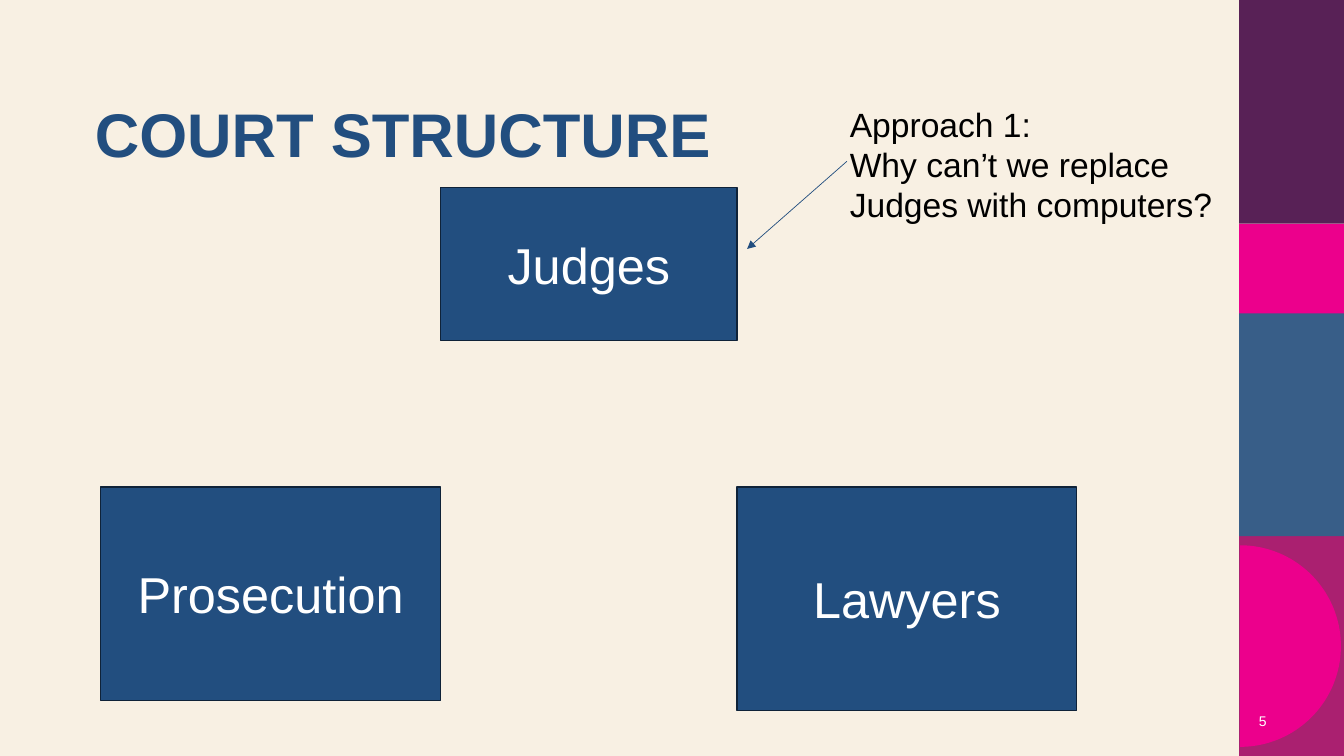
from math import cos, pi, sin

from lxml.etree import SubElement
from pptx import Presentation
from pptx.dml.color import RGBColor
from pptx.enum.shapes import MSO_CONNECTOR, MSO_SHAPE
from pptx.enum.text import MSO_ANCHOR as Anchor, PP_ALIGN as Align
from pptx.oxml.ns import qn
from pptx.util import Inches, Pt

# Content
TITLE = "COURT STRUCTURE"
PAGE_NUMBER = "5"
NOTE_LINES = ["Approach 1:", "Why can’t we replace", "Judges with computers?"]
COURT_ROLES = [  # name, left, top, width, height
    ("Prosecution", 1, 4.83, 3.37, 2.12),
    ("Lawyers", 7.31, 4.83, 3.37, 2.22),
    ("Judges", 4.37, 1.86, 2.94, 1.52),
]
SIDE_BANDS = [  # colour, top, height
    ("AA2070", 5.28, 2.22),
    ("385E88", 3.1, 2.22),
    ("582156", 0, 2.22),
    ("EC008C", 2.22, 0.89),
]

# Style
FONT = "Arial"
CREAM, NAVY, NAVY_EDGE = "F8F0E3", "224E7F", "0F2238"
PINK, WHITE, BLACK = "EC008C", "FFFFFF", "000000"
PAGE_WIDTH, PAGE_HEIGHT = 13.33, 7.5
BAND_LEFT = 12.29
DISC_LEFT, DISC_MIDDLE, DISC_RADIUS = 12.3, 6.41, 1
ARC_STEPS = 90


def colour(value):
    return RGBColor.from_string(value)


def paint(shape, fill, edge=None):
    shape.shadow.inherit = False
    shape.fill.solid()
    shape.fill.fore_color.rgb = colour(fill)
    if edge:
        shape.line.color.rgb = colour(edge)
        shape.line.width = Pt(1)
    else:
        shape.line.fill.background()


def write(frame, lines, size, ink, align=Align.LEFT, anchor=Anchor.TOP, bold=False):
    frame.word_wrap = True
    frame.vertical_anchor = anchor
    for index, line in enumerate(lines):
        para = frame.add_paragraph() if index else frame.paragraphs[0]
        para.alignment = align
        span = para.add_run()
        span.text = line
        span.font.name = FONT
        span.font.size = Pt(size)
        span.font.bold = bold
        span.font.color.rgb = colour(ink)


def add_box(page, left, top, width, height, fill, edge=None):
    box = page.shapes.add_shape(
        MSO_SHAPE.RECTANGLE, Inches(left), Inches(top), Inches(width), Inches(height))
    paint(box, fill, edge)
    return box


def add_text(page, left, top, width, height, *args, **style):
    box = page.shapes.add_textbox(
        Inches(left), Inches(top), Inches(width), Inches(height))
    write(box.text_frame, *args, **style)


def add_half_disc(page):
    angles = [pi * step / ARC_STEPS - pi / 2 for step in range(ARC_STEPS + 1)]
    points = [(Inches(DISC_LEFT + DISC_RADIUS * cos(angle)),
               Inches(DISC_MIDDLE + DISC_RADIUS * sin(angle))) for angle in angles]
    builder = page.shapes.build_freeform(*points[0])
    builder.add_line_segments(points[1:], close=True)
    paint(builder.convert_to_shape(), PINK)


def add_arrow(page, start, end):
    arrow = page.shapes.add_connector(
        MSO_CONNECTOR.STRAIGHT, *(Inches(value) for value in start + end))
    arrow.line.color.rgb = colour(NAVY)
    arrow.line.width = Pt(0.5)
    SubElement(arrow.line._get_or_add_ln(), qn("a:tailEnd"), type="triangle")
    SubElement(arrow._element.spPr, qn("a:effectLst"))


def main():
    deck = Presentation()
    deck.slide_width, deck.slide_height = Inches(PAGE_WIDTH), Inches(PAGE_HEIGHT)
    page = deck.slides.add_slide(deck.slide_layouts[5])
    page.background.fill.solid()
    page.background.fill.fore_color.rgb = colour(CREAM)

    # Side decoration
    for fill, top, height in SIDE_BANDS:
        add_box(page, BAND_LEFT, top, PAGE_WIDTH - BAND_LEFT, height, fill)
    add_half_disc(page)

    # Title and page number
    title = page.shapes.title
    title.left, title.top = Inches(0.84), Inches(0.98)
    title.width, title.height = Inches(10.27), Inches(1.49)
    write(title.text_frame, [TITLE], 44, NAVY, bold=True)
    title.text_frame.paragraphs[0].line_spacing = 0.9
    add_text(page, 12.16, 6.95, 0.5, 0.4, [PAGE_NUMBER], 10, WHITE,
             align=Align.RIGHT, anchor=Anchor.MIDDLE)

    # Court roles
    for name, *place in COURT_ROLES:
        box = add_box(page, *place, NAVY, NAVY_EDGE)
        write(box.text_frame, [name], 36, WHITE, Align.CENTER, Anchor.MIDDLE)

    # Question about the judges
    add_text(page, 8.33, 0.98, 3.95, 1.72, NOTE_LINES, 24, BLACK)
    add_arrow(page, (8.4, 1.6), (7.41, 2.47))

    deck.save("out.pptx")


if __name__ == "__main__":
    main()
